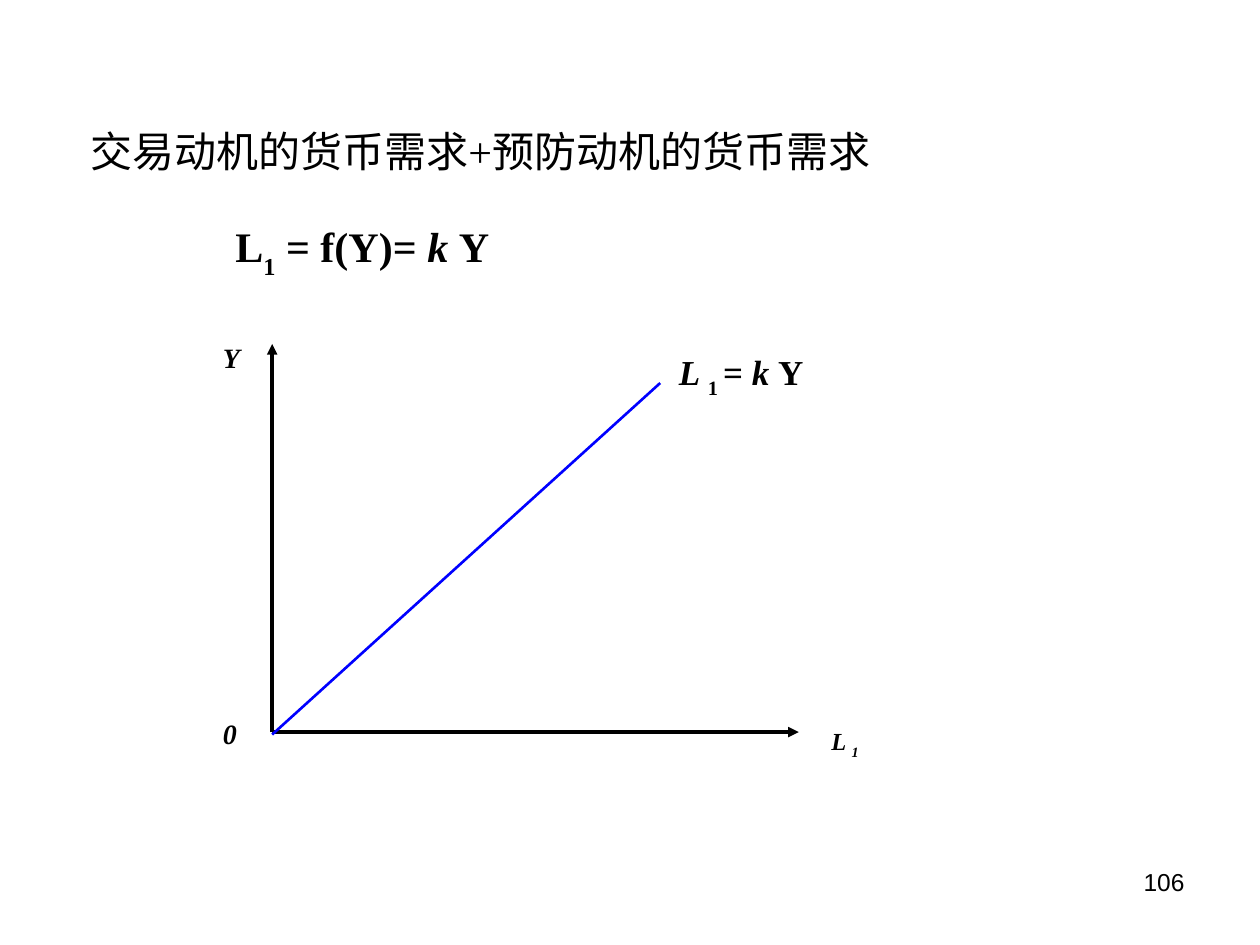
"""Build the slide on money demand as a function of income."""
from dataclasses import dataclass

from lxml import etree
from pptx import Presentation
from pptx.dml.color import RGBColor
from pptx.enum import shapes, text
from pptx.oxml.ns import qn
from pptx.util import Inches, Pt


@dataclass(frozen=True)
class Theme:
    ink: RGBColor = RGBColor(0, 0, 0)
    curve: RGBColor = RGBColor(0, 0, 255)
    serif: str = "Times New Roman"
    sans: str = "Arial"
    large: int = 24
    medium: int = 20
    label: int = 16
    small: int = 14
    axis_width: float = 2
    curve_width: float = 1.5


THEME = Theme()
PLAIN, ITALIC, SUB, ITALIC_SUB = "", "i", "s", "is"

HEADING = [("交易动机的货币需求+预防动机的货币需求", PLAIN)]
FORMULA = [("L", PLAIN), ("1", SUB), (" = f(Y)= ", PLAIN), ("k ", ITALIC), ("Y", PLAIN)]
CURVE_NAME = [("L ", ITALIC), ("1 ", SUB), ("= ", PLAIN), ("k ", ITALIC), ("Y", PLAIN)]
X_NAME = [("L ", ITALIC), ("1", ITALIC_SUB)]

TEXTS = [
    (HEADING, (0.62, 0.95, 7.13, 0.57), THEME.large, False),
    (FORMULA, (1.77, 1.7, 3.15, 0.57), THEME.large, True),
    (CURVE_NAME, (5.29, 2.73, 1.52, 0.5), THEME.medium, True),
    (X_NAME, (6.5, 5.71, 0.63, 0.42), THEME.small, True),
    ([("0", ITALIC)], (1.67, 5.64, 0.49, 0.64), THEME.label, True),
    ([("Y", ITALIC)], (1.67, 2.65, 0.41, 0.37), THEME.label, True),
]

AXIS_X, AXIS_Y = 2.16, 5.81
LINES = [
    ((AXIS_X, AXIS_Y), (AXIS_X, 2.73), THEME.ink, THEME.axis_width, True),
    ((AXIS_X, AXIS_Y), (6.34, AXIS_Y), THEME.ink, THEME.axis_width, True),
    ((AXIS_X, 5.83), (5.24, 3.04), THEME.curve, THEME.curve_width, False),
]


def add_text(page, spans, place, size, bold, face=THEME.serif,
             align=text.PP_ALIGN.LEFT):
    box = page.shapes.add_textbox(*map(Inches, place))
    frame = box.text_frame
    frame.word_wrap = True
    para = frame.paragraphs[0]
    para.alignment = align
    font = para.font
    font.name, font.size, font.bold = face, Pt(size), bold
    font.color.rgb = THEME.ink
    for words, style in spans:
        span = para.add_run()
        span.text = words
        span.font.italic = "i" in style
        if "s" in style:
            span.font._element.set("baseline", "-30000")


def add_line(page, start, end, color, width, arrow):
    line = page.shapes.add_connector(
        shapes.MSO_CONNECTOR.STRAIGHT, *map(Inches, start + end))
    line.line.color.rgb = color
    line.line.width = Pt(width)
    if arrow:
        outline = line.line._get_or_add_ln()
        etree.SubElement(outline, qn("a:tailEnd"), type="triangle")
    etree.SubElement(line._element.spPr, qn("a:effectLst"))


def main():
    deck = Presentation()
    deck.slide_width, deck.slide_height = Inches(10), Inches(7.5)
    page = deck.slides.add_slide(deck.slide_layouts[6])
    for line in LINES:
        add_line(page, *line)
    for entry in TEXTS:
        add_text(page, *entry)
    add_text(page, [("106", PLAIN)], (7.17, 6.83, 2.33, 0.52), THEME.small,
             False, THEME.sans, text.PP_ALIGN.RIGHT)
    deck.save("out.pptx")


if __name__ == "__main__":
    main()
